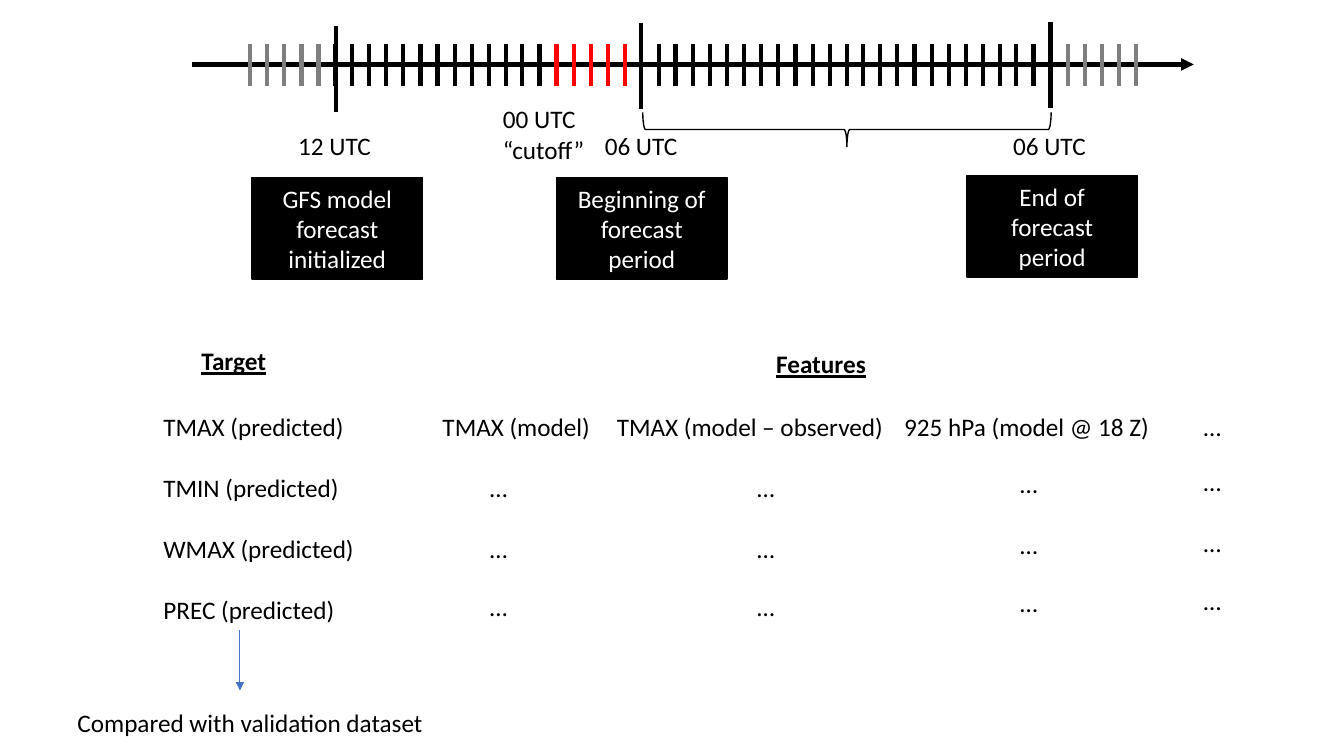
from dataclasses import dataclass

from lxml.etree import SubElement
from pptx import Presentation
from pptx.dml.color import RGBColor
from pptx.enum.shapes import MSO_CONNECTOR, MSO_SHAPE
from pptx.enum.text import MSO_ANCHOR, MSO_AUTO_SIZE, PP_ALIGN
from pptx.oxml.ns import qn
from pptx.shapes.connector import Connector
from pptx.slide import Slide
from pptx.text.text import TextFrame
from pptx.util import Emu, Pt

PX = 9144  # EMU per px, 100 px to the inch


@dataclass(frozen=True)
class Theme:
    font: str = "Calibri"
    text_size: float = 18
    black: str = "000000"
    white: str = "FFFFFF"
    gray: str = "7F7F7F"
    red: str = "FF0000"
    blue: str = "4472C4"
    heavy: float = 3
    outline: float = 1
    thin: float = 0.75


THEME = Theme()


@dataclass(frozen=True)
class Label:
    text: str
    left: int
    top: int
    width: int
    height: int = 40
    heading: bool = False


@dataclass(frozen=True)
class Line:
    x1: int
    y1: int
    x2: int
    y2: int
    color: str = THEME.black
    weight: float = THEME.heavy
    arrow: bool = False


@dataclass(frozen=True)
class DotColumn:
    left: int
    top: int


FIRST_TICK, TICK_STEP, TICK_COUNT = 248, 16.9, 53
TICK_TOP, TICK_BOTTOM = 44, 85
FORECAST_START, FORECAST_END = 23, 47  # hours marked by a long line only

AXIS = Line(190, 64, 1184, 64, arrow=True)
VALIDATION_ARROW = Line(238, 625, 238, 685, THEME.blue, THEME.thin, arrow=True)
LONG_MARKS = [
    Line(333, 26, 333, 111),
    Line(636, 23, 636, 108),
    Line(1042, 22, 1042, 107),
]

LABELS = [
    Label("12 UTC", 286, 124, 93),
    Label("06 UTC", 590, 124, 93),
    Label("06 UTC", 995, 124, 93),
    Label("00 UTC\n“cutoff”", 489, 98, 102, 71),
    Label("Target", 190, 338, 85, heading=True),
    Label("Features", 760, 341, 110, heading=True),
    Label("TMAX (model)", 429, 403, 168),
    Label("TMAX (model – observed)", 602, 403, 287),
    Label("925 hPa (model @ 18 Z)", 887, 403, 266),
    Label("…", 1184, 403, 38),
    Label("Compared with validation dataset", 67, 697, 367),
]

EVENTS = [
    Label("GFS model\nforecast initialized", 250, 176, 169, 101),
    Label("Beginning of forecast period", 552, 176, 169, 101),
    Label("End of forecast period", 959, 174, 169, 101),
]

TARGETS = Label(
    "\n".join(f"{name} (predicted)" for name in ("TMAX", "TMIN", "WMAX", "PREC")),
    152, 403, 211, 222,
)

DOT_COLUMNS = [
    DotColumn(476, 464),
    DotColumn(741, 464),
    DotColumn(1002, 460),
    DotColumn(1184, 458),
]
DOT_ROWS = (0, 60, 118)


def px(*lengths: float) -> list[Emu]:
    return [Emu(round(n) * PX) for n in lengths]


def write(tf: TextFrame, text: str, *, color: str = THEME.black,
          heading: bool = False, align: PP_ALIGN = PP_ALIGN.LEFT,
          anchor: MSO_ANCHOR = MSO_ANCHOR.TOP, gap: float = 0) -> None:
    tf.word_wrap = True
    tf.auto_size = MSO_AUTO_SIZE.NONE
    tf.vertical_anchor = anchor
    tf.text = text
    for p in tf.paragraphs:
        p.alignment = align
        p.space_before = Pt(0)
        p.space_after = Pt(gap)
        for r in p.runs:
            r.font.name = THEME.font
            r.font.size = Pt(THEME.text_size)
            r.font.color.rgb = RGBColor.from_string(color)
            if heading:
                r.font.bold = r.font.underline = True


def add_line(s: Slide, line: Line) -> Connector:
    c = s.shapes.add_connector(
        MSO_CONNECTOR.STRAIGHT, *px(line.x1, line.y1, line.x2, line.y2))
    c.line.color.rgb = RGBColor.from_string(line.color)
    c.line.width = Pt(line.weight)
    if line.arrow:
        SubElement(c.line._get_or_add_ln(), qn("a:tailEnd"), type="triangle")
    SubElement(c._element.spPr, qn("a:effectLst"))
    return c


def add_label(s: Slide, label: Label) -> None:
    sp = s.shapes.add_textbox(
        *px(label.left, label.top, label.width, label.height))
    write(sp.text_frame, label.text, heading=label.heading)


def add_event(s: Slide, event: Label) -> None:
    sp = s.shapes.add_shape(
        MSO_SHAPE.RECTANGLE, *px(event.left, event.top, event.width, event.height))
    sp.shadow.inherit = False
    sp.fill.solid()
    sp.fill.fore_color.rgb = RGBColor.from_string(THEME.black)
    sp.line.color.rgb = RGBColor.from_string(THEME.black)
    sp.line.width = Pt(THEME.outline)
    write(sp.text_frame, event.text, color=THEME.white,
          align=PP_ALIGN.CENTER, anchor=MSO_ANCHOR.MIDDLE)


def add_forecast_brace(s: Slide) -> None:
    sp = s.shapes.add_shape(MSO_SHAPE.LEFT_BRACE, *px(823, -74, 34, 405))
    sp.rotation = 270
    sp.shadow.inherit = False
    sp.fill.background()
    sp.line.color.rgb = RGBColor.from_string(THEME.black)
    sp.line.width = Pt(THEME.outline)


def tick_color(hour: int) -> str:
    if hour < 5 or hour > FORECAST_END:
        return THEME.gray
    return THEME.red if 18 <= hour < FORECAST_START else THEME.black


def add_timeline(s: Slide) -> None:
    for line in (AXIS, *LONG_MARKS):
        add_line(s, line)
    for hour in range(TICK_COUNT):
        if hour not in (FORECAST_START, FORECAST_END):
            x = round(FIRST_TICK + hour * TICK_STEP)
            add_line(s, Line(x, TICK_TOP, x, TICK_BOTTOM, tick_color(hour)))
    add_forecast_brace(s)


def fill_targets(s: Slide) -> None:
    """Put the target list in the body placeholder, without bullets."""
    body = s.placeholders[1]
    body.left, body.top, body.width, body.height = px(
        TARGETS.left, TARGETS.top, TARGETS.width, TARGETS.height)
    write(body.text_frame, TARGETS.text, gap=22)
    for p in body.text_frame.paragraphs:
        pPr = p._p.get_or_add_pPr()
        pPr.set("marL", "0")
        pPr.set("indent", "0")
        SubElement(pPr, qn("a:buNone"))


def main() -> None:
    prs = Presentation()
    prs.slide_width, prs.slide_height = px(1333, 750)
    s = prs.slides.add_slide(prs.slide_layouts[1])
    title = s.shapes.title._element
    title.getparent().remove(title)
    fill_targets(s)
    add_timeline(s)
    for event in EVENTS:
        add_event(s, event)
    for label in LABELS:
        add_label(s, label)
    for column in DOT_COLUMNS:
        for offset in DOT_ROWS:
            add_label(s, Label("…", column.left, column.top + offset, 38))
    add_line(s, VALIDATION_ARROW)
    prs.save("out.pptx")


if __name__ == "__main__":
    main()
